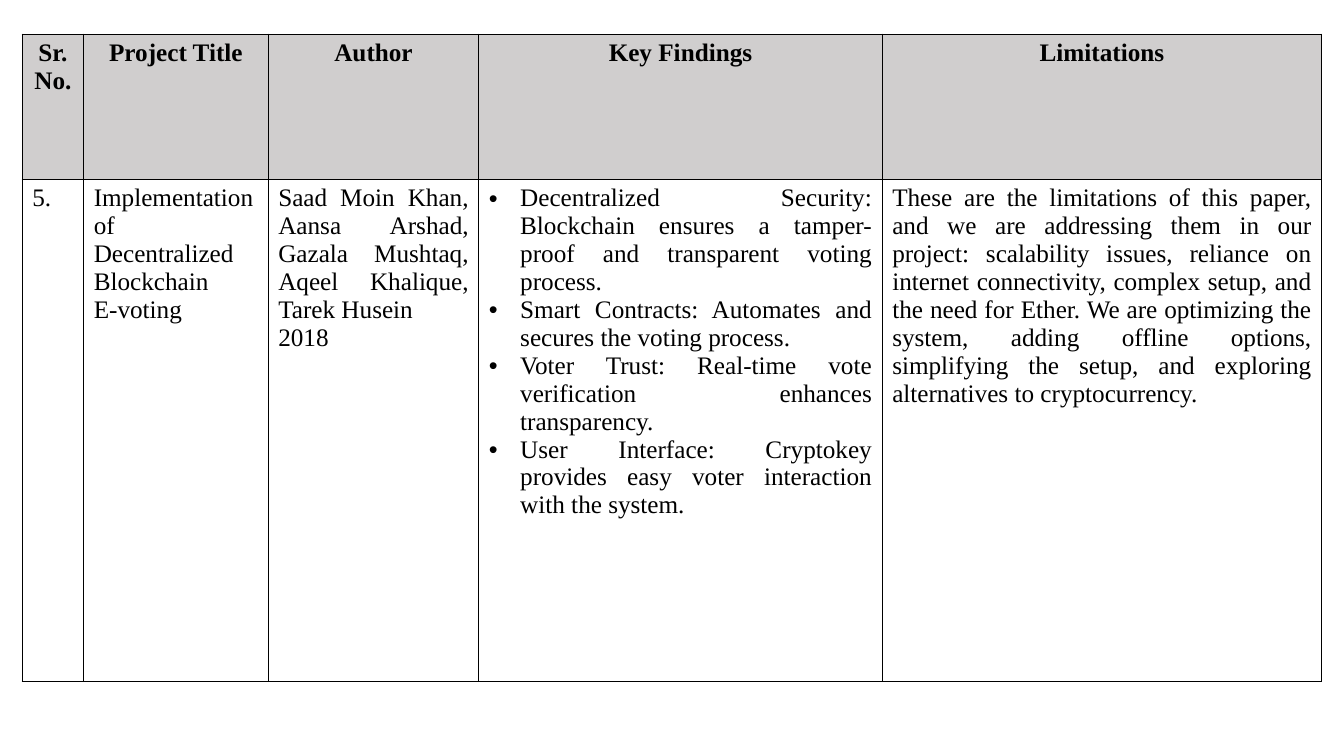
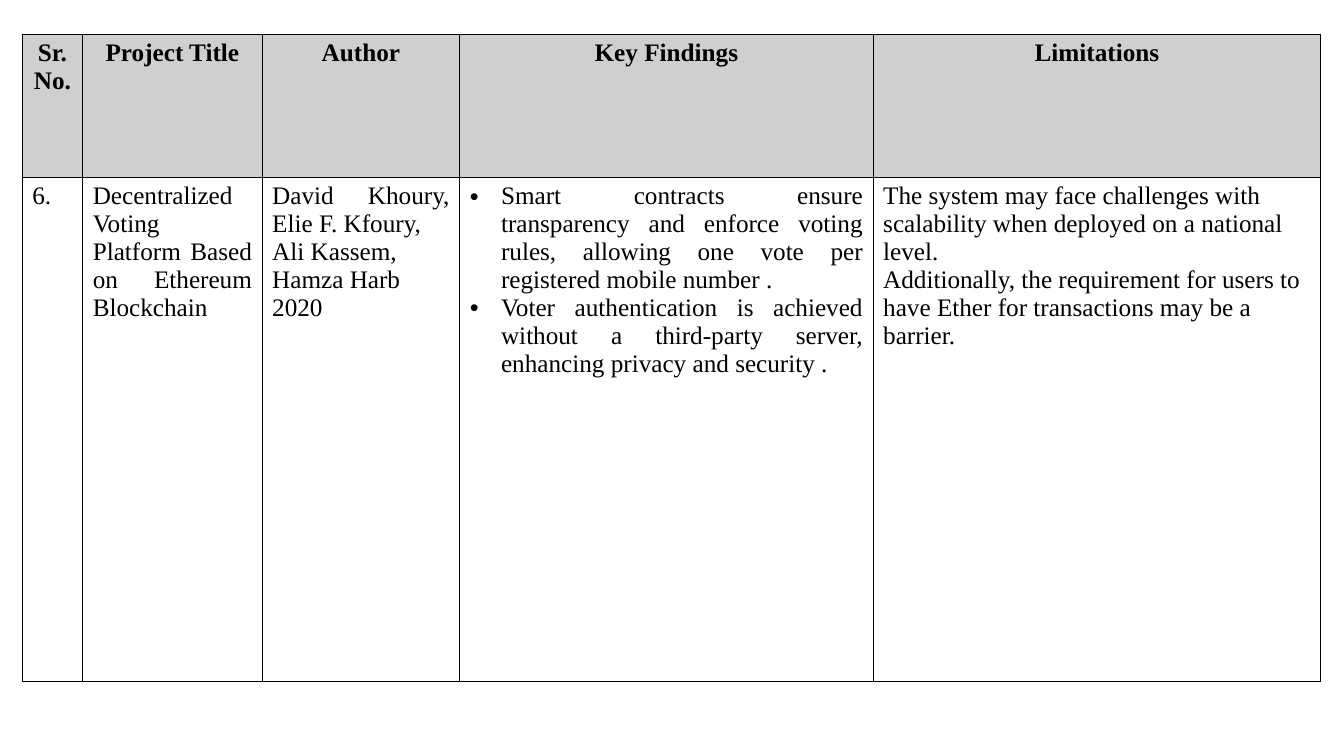
"""Build two literature survey slides, each with one table of a reviewed paper."""
import lxml.etree
import pptx
import pptx.dml.color
import pptx.enum.text
import pptx.oxml.ns
import pptx.util

PX = 9144
FONT = "Times New Roman"
BLACK, HEADER_GREY, WHITE = "000000", "D0CECE", "FFFFFF"
CENTER = pptx.enum.text.PP_ALIGN.CENTER
JUSTIFY = pptx.enum.text.PP_ALIGN.JUSTIFY
LEFT = pptx.enum.text.PP_ALIGN.LEFT
BULLET_INDENT = 31
TABLE_LEFT, TABLE_TOP = 22, 34
HEADINGS = ["Sr. No.", "Project Title", "Author", "Key Findings", "Limitations"]
FINDINGS_COLUMN = HEADINGS.index("Key Findings")
LIMITATIONS_COLUMN = HEADINGS.index("Limitations")

PAPERS = [
    {
        "columns": [61, 183, 209, 400, 436],
        "rows": [144, 498],
        "limitations_alignment": JUSTIFY,
        "entry": [
            ["5."],
            ["Implementation of Decentralized", "Blockchain", "E-voting"],
            ["Saad Moin Khan, Aansa Arshad, Gazala Mushtaq, Aqeel Khalique, Tarek Husein", "2018"],
            [
                "Decentralized Security: Blockchain ensures a tamper-proof and transparent voting process.",
                "Smart Contracts: Automates and secures the voting process.",
                "Voter Trust: Real-time vote verification enhances transparency.",
                "User Interface: Cryptokey provides easy voter interaction with the system.",
            ],
            [
                "These are the limitations of this paper, and we are addressing them in our project: "
                "scalability issues, reliance on internet connectivity, complex setup, and the need for "
                "Ether. We are optimizing the system, adding offline options, simplifying the setup, and "
                "exploring alternatives to cryptocurrency."
            ],
        ],
    },
    {
        "columns": [60, 178, 196, 410, 444],
        "rows": [142, 500],
        "limitations_alignment": LEFT,
        "entry": [
            ["6."],
            ["Decentralized Voting Platform Based on Ethereum Blockchain"],
            ["David Khoury, Elie F. Kfoury,", "Ali Kassem,", "Hamza Harb", "2020"],
            [
                "Smart contracts ensure transparency and enforce voting rules, allowing one vote per "
                "registered mobile number .",
                "Voter authentication is achieved without a third-party server, enhancing privacy and "
                "security .",
            ],
            [
                "The system may face challenges with scalability when deployed on a national level.",
                "Additionally, the requirement for users to have Ether for transactions may be a barrier.",
            ],
        ],
    },
]


def color(value):
    return pptx.dml.color.RGBColor.from_string(value)


def fill_cell(cell, lines, background, alignment, bold=False, bulleted=False):
    cell.fill.solid()
    cell.fill.fore_color.rgb = color(background)
    properties = cell._tc.get_or_add_tcPr()
    for position, side in enumerate(["a:lnL", "a:lnR", "a:lnT", "a:lnB"]):
        border = lxml.etree.Element(pptx.oxml.ns.qn(side), w=str(pptx.util.Pt(1)))
        border_fill = lxml.etree.SubElement(border, pptx.oxml.ns.qn("a:solidFill"))
        lxml.etree.SubElement(border_fill, pptx.oxml.ns.qn("a:srgbClr"), val=BLACK)
        properties.insert(position, border)
    for index, line in enumerate(lines):
        frame = cell.text_frame
        paragraph = frame.add_paragraph() if index else frame.paragraphs[0]
        paragraph.alignment = alignment
        run = paragraph.add_run()
        run.text = line
        run.font.name = FONT
        run.font.size = pptx.util.Pt(18)
        run.font.bold = bold
        run.font.color.rgb = color(BLACK)
        if bulleted:
            paragraph_properties = paragraph._p.get_or_add_pPr()
            paragraph_properties.set("marL", str(BULLET_INDENT * PX))
            paragraph_properties.set("indent", str(-BULLET_INDENT * PX))
            bullet_color = lxml.etree.SubElement(paragraph_properties, pptx.oxml.ns.qn("a:buClr"))
            lxml.etree.SubElement(bullet_color, pptx.oxml.ns.qn("a:srgbClr"), val=BLACK)
            lxml.etree.SubElement(paragraph_properties, pptx.oxml.ns.qn("a:buFont"), typeface="Arial")
            lxml.etree.SubElement(paragraph_properties, pptx.oxml.ns.qn("a:buChar"), char="•")


presentation = pptx.Presentation()
presentation.slide_width = 1333 * PX
presentation.slide_height = 750 * PX
blank_layout = presentation.slide_layouts[6]

for paper in PAPERS:
    slide = presentation.slides.add_slide(blank_layout)
    widths, heights = paper["columns"], paper["rows"]
    table = slide.shapes.add_table(
        len(heights), len(widths),
        TABLE_LEFT * PX, TABLE_TOP * PX, sum(widths) * PX, sum(heights) * PX,
    ).table
    table.first_row = False
    table.horz_banding = False
    for row, height in zip(table.rows, heights):
        row.height = height * PX
    for index, (width, heading, lines) in enumerate(zip(widths, HEADINGS, paper["entry"])):
        table.columns[index].width = width * PX
        fill_cell(table.cell(0, index), [heading], HEADER_GREY, CENTER, bold=True)
        alignment = paper["limitations_alignment"] if index == LIMITATIONS_COLUMN else JUSTIFY
        fill_cell(table.cell(1, index), lines, WHITE, alignment, bulleted=index == FINDINGS_COLUMN)

presentation.save("out.pptx")
